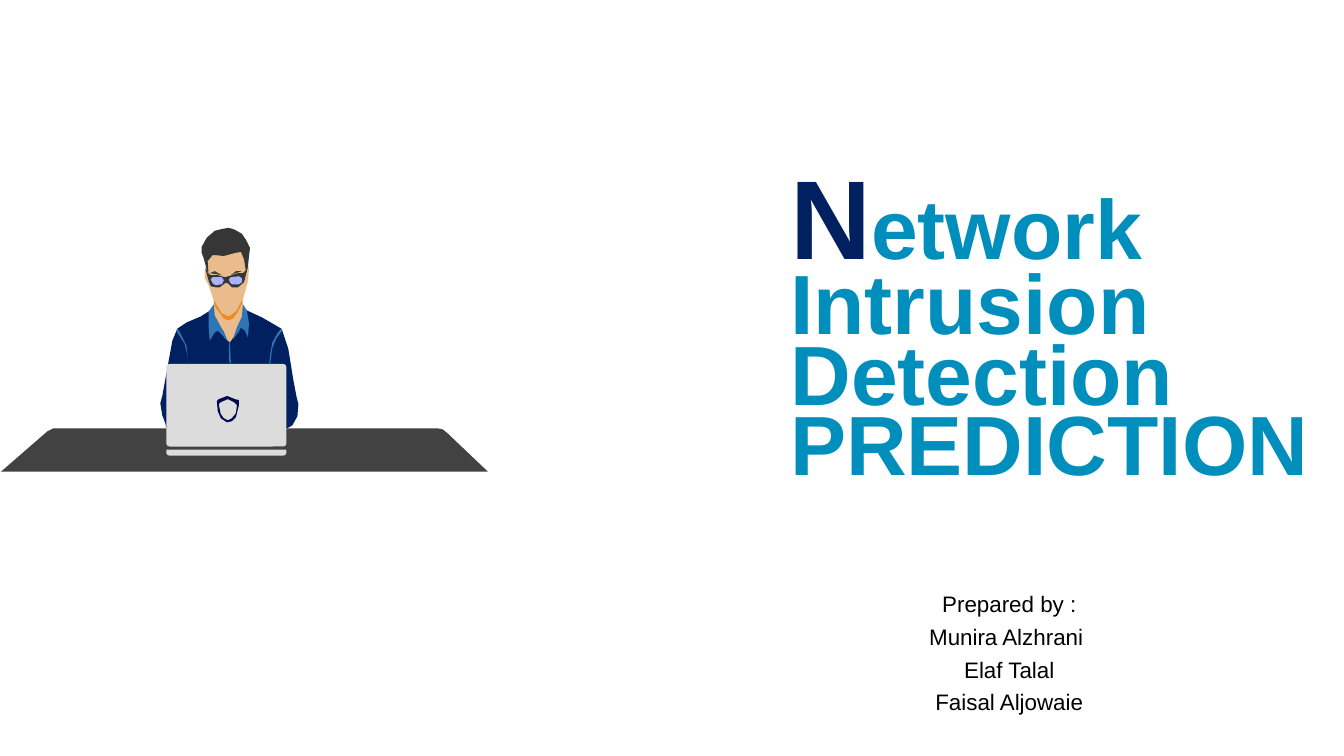
from pptx import Presentation
from pptx.dml.color import RGBColor
from pptx.enum.shapes import MSO_SHAPE
from pptx.enum.text import MSO_ANCHOR, PP_ALIGN
from pptx.util import Pt

PX = 9144
LEFT, CENTER = PP_ALIGN.LEFT, PP_ALIGN.CENTER
TOP = MSO_ANCHOR.TOP
ROUNDED = MSO_SHAPE.ROUNDED_RECTANGLE
ROUNDED_PAIR = MSO_SHAPE.ROUND_2_SAME_RECTANGLE
THEME = {
    "font": "Arial", "initial": 80, "title": 60, "body": 16,
    "navy": "002060", "cyan": "008EBC", "black": "000000",
    "skin": "EABB8B", "hair": "363636", "desk": "424242",
    "laptop": "DCDCDC", "blue": "2E75B5", "orange": "ED8B23",
    "shield": "010A4F", "lens": "AAB4FE", "brow": "3F3F3F",
}

presentation = Presentation()
presentation.slide_width = 1333 * PX
presentation.slide_height = 750 * PX
slide = presentation.slides.add_slide(presentation.slide_layouts[6])


def add_text(paragraphs, left, top, width, height, align=LEFT, spacing=1.0, bold=False):
    box = slide.shapes.add_textbox(left * PX, top * PX, width * PX, height * PX)
    frame = box.text_frame
    frame.word_wrap = True
    frame.vertical_anchor = TOP
    for index, runs in enumerate(paragraphs):
        paragraph = frame.add_paragraph() if index else frame.paragraphs[0]
        paragraph.alignment = align
        paragraph.line_spacing = spacing
        paragraph.space_after = Pt(6)
        for text, size, color in runs:
            run = paragraph.add_run()
            run.text = text
            run.font.name = THEME["font"]
            run.font.size = Pt(THEME[size])
            run.font.bold = bold
            run.font.color.rgb = RGBColor.from_string(THEME[color])


def add_outline(shapes, outline):
    contours = [[tuple(map(int, pair.split(","))) for pair in contour.split()]
                for contour in outline.split("|")]
    builder = shapes.build_freeform(*contours[0][0], scale=PX)
    for index, points in enumerate(contours):
        if index:
            builder.move_to(*points[0])
        builder.add_line_segments(points[1:], close=True)
    return builder.convert_to_shape()


FACE = """246,264 244,266 244,270 242,256 238,249 233,250 222,254 211,253 206,259 207,274
    205,266 203,268 203,276 207,283 212,298 212,302 209,317 213,325 227,340 228,340
    238,329 242,313 241,297 246,279 247,267"""
HAIR = """206,271 207,274 206,259 211,253 222,254 233,251 239,250 242,257 244,270 246,264
    247,254 248,246 244,238 240,232 233,228 227,226 221,227 213,229 205,236 200,245
    200,251 202,256 205,267"""
GLASSES = """246,264 244,268 241,271 236,271 227,274 223,275 216,273 209,273 206,271 204,265
    204,268 207,279 209,284 214,285 218,285 223,281 226,281 230,285 236,285 242,280"""
SHIRT = """294,393 291,377 286,346 280,328 279,326 260,315 245,308 235,330 228,340 223,335
    214,319 207,309 199,314 192,317 185,320 176,326 171,338 161,393 159,400 161,412
    164,420 165,425 283,426 290,422 295,413 296,401"""
DESK = "434,425 439,426 443,429 484,468 1,468 47,428 53,425"
LEFT_COLLAR = """212,302 213,313 220,326 222,329 226,339 219,331 216,328 213,330 208,338
    207,325 207,309"""
RIGHT_COLLAR = "231,337 234,328 235,325 240,314 241,302 245,308 247,321 246,335 243,328 239,325 237,329"
NECK_SHADE = "240,301 235,311 231,316 227,318 222,316 213,304 212,298 220,311 227,314 234,309 240,298"
RIGHT_SEAM = "280,328 274,336 270,346 268,362 267,361 268,352 270,340 275,331 279,326"
LEFT_SEAM = "187,362 186,353 183,341 176,330 175,328 176,326 179,331 185,343"
SHIELD = """226,396 219,399 217,401 219,411 222,415 226,417 230,415 234,410 235,402 232,399 |
    226,393 228,394 233,396 237,397 237,402 234,414 230,418 225,419 219,415 216,408
    215,398 217,396 225,393"""
BUTTON_SEAM = "227,340 228,340 229,361 227,358"
RIGHT_LENS = "237,274 240,276 240,280 237,282 230,282 228,280 227,277 229,275"
LEFT_LENS = "220,275 222,278 220,282 214,283 211,281 209,277 211,275"
RIGHT_BROW = "229,273 234,269 240,269 234,271"
LEFT_BROW = "208,271 213,269 220,273 214,272"

add_text([[("N", "initial", "navy"), ("etwork Intrusion Detection PREDICTION", "title", "cyan")]],
         774, 178, 558, 316, spacing=0.7, bold=True)
names = ["Prepared by :", "Munira Alzhrani ", "Elaf Talal", "Faisal Aljowaie"]
add_text([[(name, "body", "black")] for name in names], 722, 584, 558, 160, align=CENTER, spacing=0.9)

shapes = slide.shapes.add_group_shape().shapes
illustration = [
    (FACE, "skin"), (HAIR, "hair"), (GLASSES, "hair"), (SHIRT, "navy"), (DESK, "desk"),
    ((ROUNDED, 165, 361, 119, 82, [0.04]), "laptop"),
    (LEFT_COLLAR, "blue"), (RIGHT_COLLAR, "blue"), (NECK_SHADE, "orange"),
    (RIGHT_SEAM, "blue"), (LEFT_SEAM, "blue"), (SHIELD, "shield"), (BUTTON_SEAM, "blue"),
    (RIGHT_LENS, "lens"), (LEFT_LENS, "lens"), (RIGHT_BROW, "brow"), (LEFT_BROW, "brow"),
    ((ROUNDED_PAIR, 165, 446, 119, 6, [0.1, 0.5]), "laptop"),
]
for outline, color in illustration:
    if isinstance(outline, str):
        shape = add_outline(shapes, outline)
    else:
        preset, left, top, width, height, corners = outline
        shape = shapes.add_shape(preset, left * PX, top * PX, width * PX, height * PX)
        for index, corner in enumerate(corners):
            shape.adjustments[index] = corner
    shape.shadow.inherit = False
    shape.fill.solid()
    shape.fill.fore_color.rgb = RGBColor.from_string(THEME[color])
    shape.line.fill.background()

presentation.save("out.pptx")
